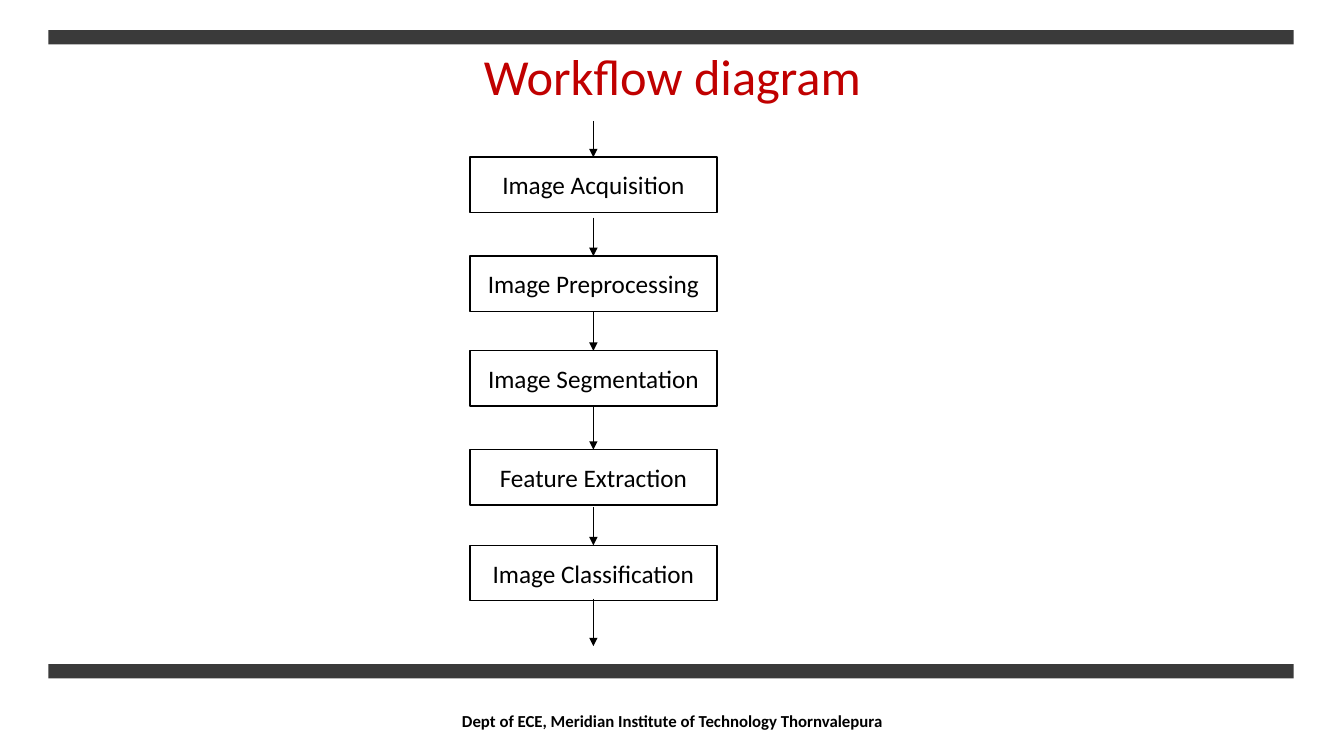
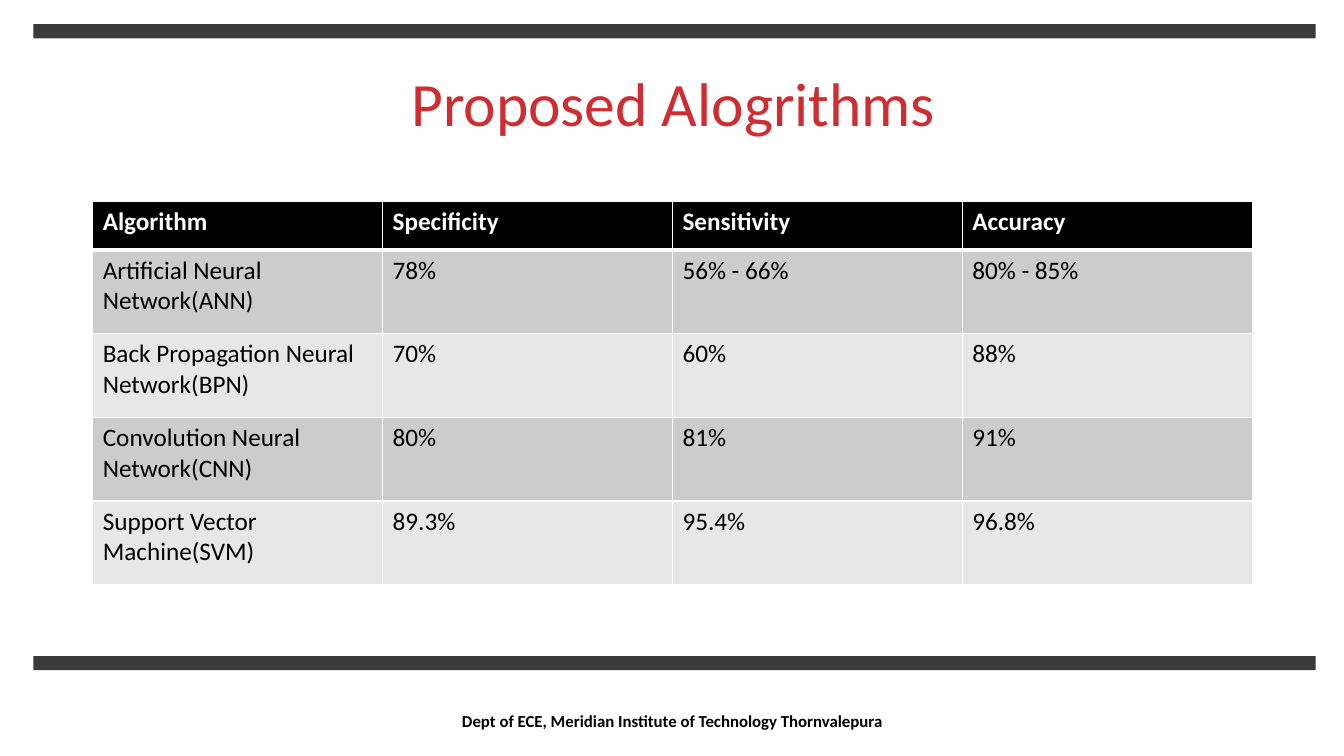
from lxml import etree
from pptx import Presentation
from pptx.dml.color import RGBColor
from pptx.enum.shapes import MSO_CONNECTOR, MSO_SHAPE
from pptx.enum.text import MSO_ANCHOR, MSO_AUTO_SIZE, PP_ALIGN
from pptx.oxml.ns import qn
from pptx.util import Inches, Pt

RECT, STRAIGHT = MSO_SHAPE.RECTANGLE, MSO_CONNECTOR.STRAIGHT
CENTER, LEFT = PP_ALIGN.CENTER, PP_ALIGN.LEFT
MIDDLE, TOP = MSO_ANCHOR.MIDDLE, MSO_ANCHOR.TOP

BLACK = RGBColor(0x00, 0x00, 0x00)
WHITE = RGBColor(0xFF, 0xFF, 0xFF)
BAND = RGBColor(0x3A, 0x3A, 0x3A)
DARK_RED = RGBColor(0xC0, 0x00, 0x00)
BRIGHT_RED = RGBColor(0xCE, 0x2D, 0x32)
ROW_FILLS = (RGBColor(0xCC, 0xCC, 0xCC), RGBColor(0xE7, 0xE7, 0xE7))

SLIDE_W, SLIDE_H = Inches(13.33), Inches(7.5)
FONT = "Calibri"
BODY = {"size": Pt(18), "bold": False}
HEADER = {"size": Pt(18), "bold": True}
FOOTER = {"size": Pt(12), "bold": True}
FOOTER_TEXT = "Dept of ECE, Meridian Institute of Technology Thornvalepura"

# Workflow: step, top of its box, start of the arrow into it (% of height)
BOX_LEFT, BOX_W, BOX_H = 34.96, 18.38, 7.33
STEPS = [
    ("Image Acquisition", 20.8, 16),
    ("Image Preprocessing", 33.87, 28.8),
    ("Image Segmentation", 46.4, 41.2),
    ("Feature Extraction", 59.47, 53.73),
    ("Image Classification", 72.13, 67.07),
]
EXIT_ARROW = (79.2, 85.47)

TABLE_BOX = (6.9, 26.67, 86.27, 50.68)
HEADER_H, ROW_H = 6.4, 11.07
RESULTS = [
    ("Algorithm", "Specificity", "Sensitivity", "Accuracy"),
    ("Artificial Neural Network(ANN)", "78%", "56% - 66%", "80% - 85%"),
    ("Back Propagation Neural Network(BPN)", "70%", "60%", "88%"),
    ("Convolution Neural Network(CNN)", "80%", "81%", "91%"),
    ("Support Vector Machine(SVM)", "89.3%", "95.4%", "96.8%"),
]


def across(percent):
    return round(SLIDE_W * percent / 100)


def down(percent):
    return round(SLIDE_H * percent / 100)


def place(left, top, width, height):
    """Turn percentages of the slide into lengths."""
    return across(left), down(top), across(width), down(height)


def write(tf, text, style, color=BLACK, align=CENTER, anchor=MIDDLE):
    tf.word_wrap = True
    tf.vertical_anchor = anchor
    p = tf.paragraphs[0]
    p.alignment = align
    r = p.add_run()
    r.text = text
    r.font.name = FONT
    r.font.color.rgb = color
    for name, value in style.items():
        setattr(r.font, name, value)
    return p


def add_rect(s, box, fill, line=None):
    sp = s.shapes.add_shape(RECT, *place(*box))
    sp.shadow.inherit = False
    sp.fill.solid()
    sp.fill.fore_color.rgb = fill
    if line is None:
        sp.line.fill.background()
    else:
        sp.line.color.rgb = line
        sp.line.width = Pt(1)
    return sp


def add_arrow(s, x, start, end):
    arrow = s.shapes.add_connector(
        STRAIGHT, across(x), down(start), across(x), down(end))
    arrow.line.color.rgb = BLACK
    arrow.line.width = Pt(0.5)
    etree.SubElement(arrow.line._get_or_add_ln(), qn("a:tailEnd"), type="triangle")
    etree.SubElement(arrow._element.spPr, qn("a:effectLst"))


def add_slide(prs, title, title_box, size, color, band_left, band_w, band_tops):
    """Add a slide with its title, two bands and footer."""
    s = prs.slides.add_slide(prs.slide_layouts[5])
    sp = s.shapes.title
    sp.left, sp.top, sp.width, sp.height = place(*title_box)
    sp.text_frame.auto_size = MSO_AUTO_SIZE.NONE
    p = write(sp.text_frame, title, {"size": Pt(size)}, color)
    p.line_spacing = 0.9
    for top in band_tops:
        add_rect(s, (band_left, top, band_w, 1.87), BAND)
    footer = s.shapes.add_textbox(*place(33.16, 92.67, 33.76, 5.33))
    write(footer.text_frame, FOOTER_TEXT, FOOTER)
    return s


def add_workflow(s):
    center = BOX_LEFT + BOX_W / 2
    for step, top, arrow_start in STEPS:
        box = add_rect(s, (BOX_LEFT, top, BOX_W, BOX_H), WHITE, BLACK)
        write(box.text_frame, step, BODY)
        add_arrow(s, center, arrow_start, top)
    add_arrow(s, center, *EXIT_ARROW)


def set_borders(cell, widths):
    """Draw white cell borders; widths maps a side to points."""
    tc_pr = cell._tc.get_or_add_tcPr()
    for side, width in widths.items():
        ln = etree.SubElement(tc_pr, qn(f"a:ln{side}"), w=str(Pt(width)))
        fill = etree.SubElement(ln, qn("a:solidFill"))
        etree.SubElement(fill, qn("a:srgbClr"), val=str(WHITE))


def add_results(s):
    table = s.shapes.add_table(
        len(RESULTS), len(RESULTS[0]), *place(*TABLE_BOX)).table
    for i, values in enumerate(RESULTS):
        is_header = i == 0
        table.rows[i].height = down(HEADER_H if is_header else ROW_H)
        style, color = (HEADER, WHITE) if is_header else (BODY, BLACK)
        borders = {"L": 1, "R": 1, "T": 3 if i == 1 else 1,
                   "B": 3 if is_header else 1}
        for j, value in enumerate(values):
            cell = table.cell(i, j)
            set_borders(cell, borders)
            cell.fill.solid()
            cell.fill.fore_color.rgb = BLACK if is_header else ROW_FILLS[(i - 1) % 2]
            write(cell.text_frame, value, style, color, LEFT, None)
            cell.vertical_anchor = TOP


def main():
    prs = Presentation()
    prs.slide_width, prs.slide_height = SLIDE_W, SLIDE_H

    # Workflow
    s = add_slide(prs, "Workflow diagram", (6.9, 5.33, 86.27, 10.4), 36,
                  DARK_RED, 3.6, 92.65, (4, 87.87))
    add_workflow(s)

    # Algorithm comparison
    s = add_slide(prs, "Proposed Alogrithms", (2.48, 5.07, 95.27, 18), 44,
                  BRIGHT_RED, 2.48, 95.42, (3.2, 86.8))
    add_results(s)

    prs.save("out.pptx")


if __name__ == "__main__":
    main()
